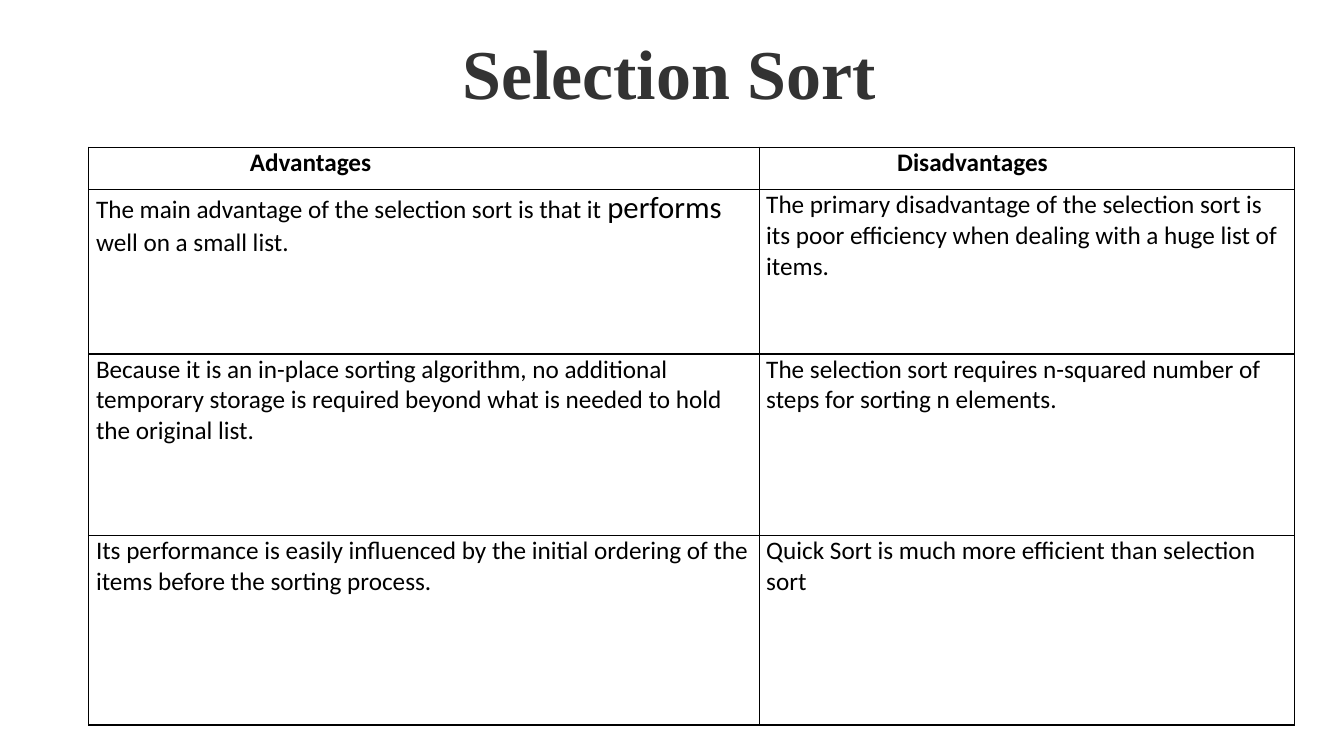
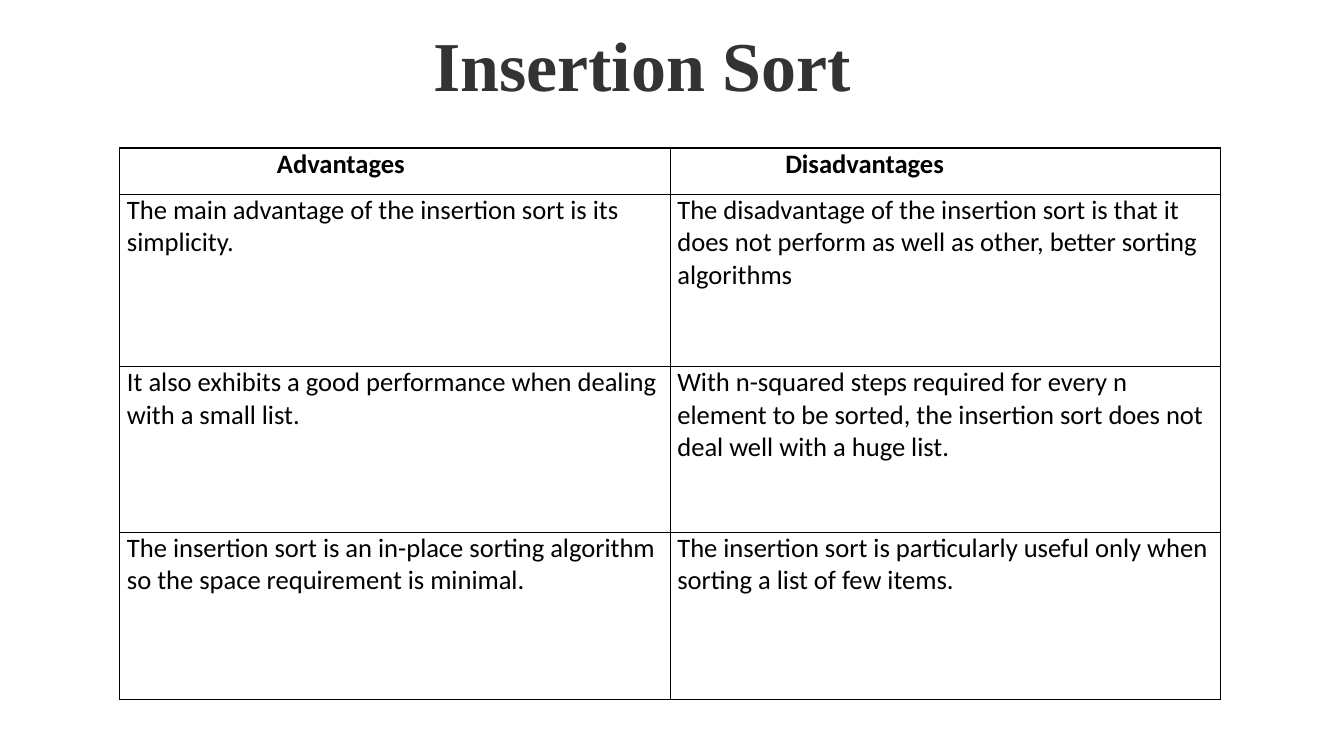
from lxml import etree
from pptx import Presentation
from pptx.dml.color import RGBColor
from pptx.enum.text import MSO_AUTO_SIZE
from pptx.oxml.ns import qn
from pptx.util import Cm, Pt

FIT_SHAPE = MSO_AUTO_SIZE.SHAPE_TO_FIT_TEXT
BLACK, WHITE, GREY = "000000", "FFFFFF", "333333"
TITLE_FONT, BODY_FONT = "Times New Roman", "Calibri"
TITLE_SIZE = 50
CELL_PAD = 0.18
HEADINGS = ("Advantages", "Disadvantages")


def rgb(value):
    return RGBColor.from_string(value)


def add_run(p, text, size, font, color, bold=False):
    r = p.add_run()
    r.text = text
    r.font.size = Pt(size)
    r.font.name = font
    r.font.bold = bold
    r.font.color.rgb = rgb(color)


def add_title(s, box, text):
    tf = s.shapes.add_textbox(*map(Cm, box)).text_frame
    tf.word_wrap = True
    tf.auto_size = FIT_SHAPE
    tf.margin_right = 0
    add_run(tf.paragraphs[0], text, TITLE_SIZE, TITLE_FONT, GREY, True)


def add_borders(cell):
    tcPr = cell._tc.get_or_add_tcPr()
    for side in ("a:lnL", "a:lnR", "a:lnT", "a:lnB"):
        ln = etree.SubElement(tcPr, qn(side), w=str(Pt(1)))
        fill = etree.SubElement(ln, qn("a:solidFill"))
        etree.SubElement(fill, qn("a:srgbClr"), val=BLACK)


def fill_cell(cell, runs, size, bold=False, indent=0):
    add_borders(cell)
    cell.fill.solid()
    cell.fill.fore_color.rgb = rgb(WHITE)
    cell.margin_left = Cm(CELL_PAD + indent)
    cell.margin_right = Cm(CELL_PAD)
    cell.margin_top = cell.margin_bottom = 0
    p = cell.text_frame.paragraphs[0]
    for text, run_size in runs:
        add_run(p, text, run_size or size, BODY_FONT, BLACK, bold)


def add_comparison(s, left, top, widths, heights, size, indents, rows):
    box = (left, top, sum(widths), sum(heights))
    table = s.shapes.add_table(len(heights), len(widths), *map(Cm, box)).table
    for column, width in zip(table.columns, widths):
        column.width = Cm(width)
    for row, height in zip(table.rows, heights):
        row.height = Cm(height)
    for c, heading in enumerate(HEADINGS):
        fill_cell(table.cell(0, c), [(heading, None)], size, True, indents[c])
    for i, row in enumerate(rows, 1):
        for c, content in enumerate(row):
            runs = [(content, None)] if isinstance(content, str) else content
            fill_cell(table.cell(i, c), runs, size)


def comparison_slide(prs, title, title_box, **table):
    s = prs.slides.add_slide(prs.slide_layouts[6])
    add_comparison(s, **table)
    add_title(s, title_box, title)


prs = Presentation()
prs.slide_width, prs.slide_height = Cm(33.87), Cm(19.05)

comparison_slide(
    prs, "Selection Sort", (11.4, 0.61, 11.05, 2.39),
    left=2.24, top=3.71, widths=(16.89, 13.49),
    heights=(1.07, 4.14, 4.57, 4.78), size=18, indents=(3.88, 3.3),
    rows=[
        ([("The main advantage of the selection sort is that it ", None),
          ("performs", 22),
          (" well on a small list.", None)],
         "The primary disadvantage of the selection sort is its poor "
         "efficiency when dealing with a huge list of items."),
        ("Because it is an in-place sorting algorithm, no additional temporary "
         "storage is required beyond what is needed to hold the original list.",
         "The selection sort requires n-squared number of steps for sorting "
         "n elements."),
        ("Its performance is easily influenced by the initial ordering of the "
         "items before the sorting process.",
         "Quick Sort is much more efficient than selection sort"),
    ])

comparison_slide(
    prs, "Insertion Sort", (10.67, 0.43, 11.43, 2.39),
    left=3.02, top=3.73, widths=(13.87, 13.87),
    heights=(1.17, 4.34, 4.17, 4.22), size=19, indents=(3.78, 2.72),
    rows=[
        ("The main advantage of the insertion sort is its simplicity.",
         "The disadvantage of the insertion sort is that it does not perform "
         "as well as other, better sorting algorithms"),
        ("It also exhibits a good performance when dealing with a small list.",
         "With n-squared steps required for every n element to be sorted, the "
         "insertion sort does not deal well with a huge list."),
        ("The insertion sort is an in-place sorting algorithm so the space "
         "requirement is minimal.",
         "The insertion sort is particularly useful only when sorting a list "
         "of few items."),
    ])

prs.save("out.pptx")
